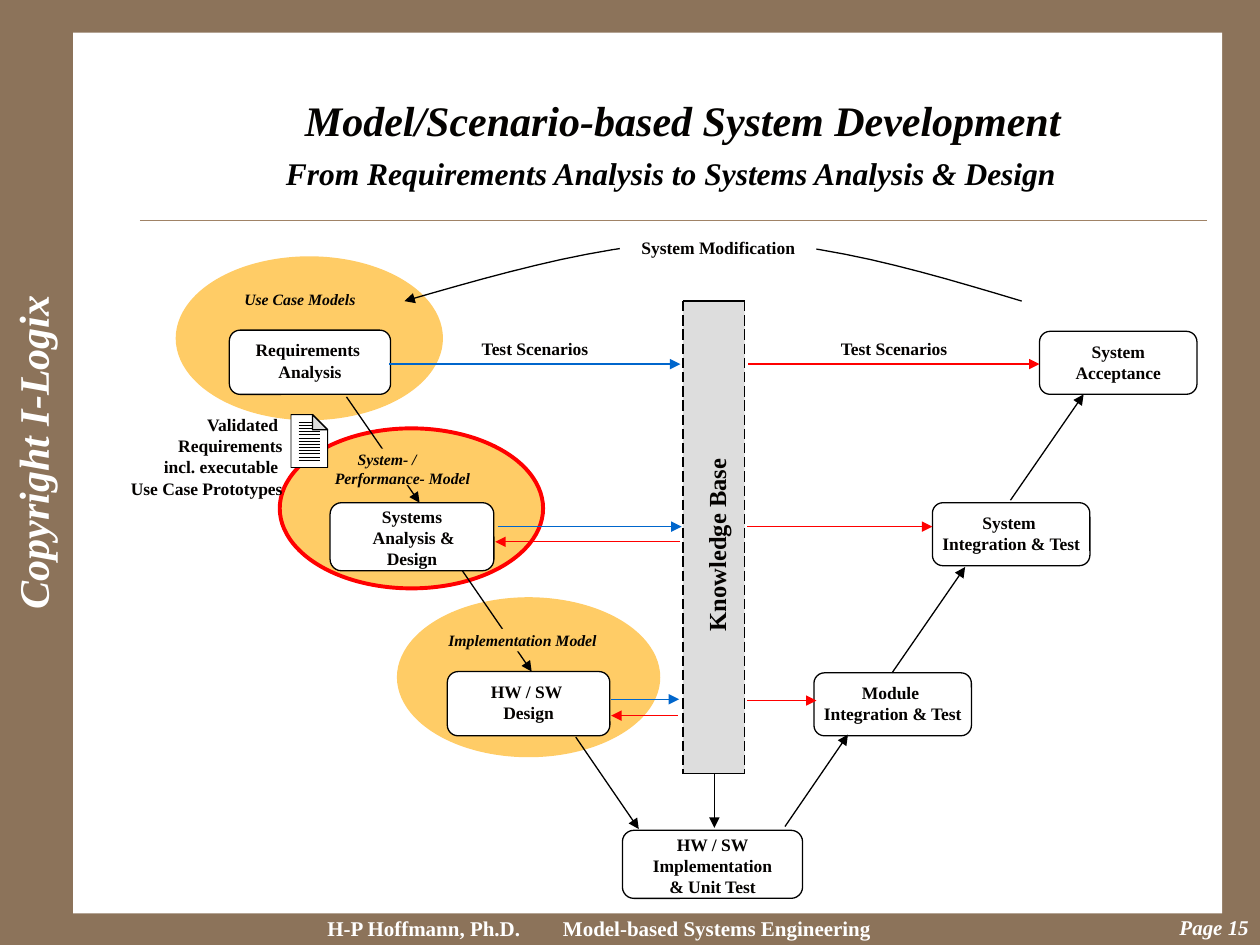
from lxml import etree
from pptx import Presentation
from pptx.dml.color import RGBColor
from pptx.enum.dml import MSO_LINE
from pptx.enum.shapes import MSO_CONNECTOR, MSO_SHAPE
from pptx.enum.text import MSO_ANCHOR, PP_ALIGN
from pptx.oxml.ns import qn
from pptx.util import Inches, Pt

RECT, ROUND, OVAL = MSO_SHAPE.RECTANGLE, MSO_SHAPE.ROUNDED_RECTANGLE, MSO_SHAPE.OVAL
LEFT, CENTER, RIGHT = PP_ALIGN.LEFT, PP_ALIGN.CENTER, PP_ALIGN.RIGHT
FONT = "Times New Roman"
C = {"frame": "8C735A", "rule": "A08366", "white": "FFFFFF", "black": "000000",
     "ink": "040200", "model": "FFCC66", "focus": "FF0000", "forward": "0066CC",
     "grey": "DDDDDD"}

TITLE = "Model/Scenario-based System Development"
SUBTITLE = "From Requirements Analysis to Systems Analysis & Design"
MODEL_SIZE = (2.09, 1.27)
MODELS = [(3.15, 4.74), (2.22, 3.41), (1.41, 2.05)]
RINGS = [((2.22, 3.4), "focus"), ((1.41, 2.05), "model")]
# text, (left, top, width, height), side inset, top inset
BOXES = [
    ("Requirements \nAnalysis", (1.82, 2.62, 1.28, 0.51), 0.1, 0.05),
    ("Systems\n Analysis & Design", (2.62, 3.99, 1.3, 0.54), 0.1, 0),
    ("HW / SW \nDesign", (3.55, 5.33, 1.29, 0.51), 0.1, 0.05),
    ("HW / SW\nImplementation\n& Unit Test", (4.94, 6.59, 1.43, 0.54), 0.1, 0),
    ("Module \nIntegration & Test", (6.46, 5.34, 1.25, 0.5), 0, 0.05),
    ("System \nIntegration & Test", (7.4, 3.99, 1.25, 0.5), 0, 0.05),
    ("System\nAcceptance", (8.25, 2.63, 1.25, 0.5), 0.1, 0.05),
]
# x1, y1, x2, y2 by colour
ARROWS = {
    "black": [(2.75, 3.15, 3.33, 3.99), (3.67, 4.53, 4.22, 5.33),
              (4.57, 5.85, 5.07, 6.58), (5.67, 6.14, 5.67, 6.57),
              (6.23, 6.56, 6.73, 5.83), (7.08, 5.34, 7.66, 4.5),
              (8.02, 3.97, 8.6, 3.13)],
    "forward": [(3.09, 2.89, 5.4, 2.89), (3.95, 4.18, 5.41, 4.18),
                (4.85, 5.55, 5.39, 5.55)],
    "focus": [(5.94, 2.89, 8.25, 2.89), (5.93, 4.18, 7.4, 4.18),
              (5.93, 5.56, 6.48, 5.56), (5.4, 4.3, 3.93, 4.3),
              (5.38, 5.68, 4.85, 5.68)],
}
LABEL_GAPS = [(3.92, 4.99, 0.27, 0.18), (2.97, 3.56, 0.38, 0.29)]
FEEDBACK = [((8.11, 2.39), (7.31, 2.15), (6.51, 1.91), (5.69, 1.91)),
            ((5.69, 1.91), (4.87, 1.91), (4.04, 2.15), (3.21, 2.39))]
# text, (left, top, width, height), size, italic, alignment
LABELS = [
    ("Use Case Models", (1.58, 2.25, 1.6, 0.47), 9, True, CENTER),
    ("System- /\nPerformance- Model", (2.56, 3.52, 1.54, 0.4), 9, True, LEFT),
    ("Implementation Model", (3.46, 4.96, 1.66, 0.33), 9, True, LEFT),
    ("Test Scenarios", (3.72, 2.63, 1.05, 0.27), 10, False, CENTER),
    ("Test Scenarios", (6.57, 2.63, 1.05, 0.27), 10, False, CENTER),
    ("Validated \nRequirements\nincl. executable \nUse Case Prototypes",
     (0.92, 3.24, 1.42, 0.83), 10, False, RIGHT),
]
FOOTERS = [
    ("H-P Hoffmann, Ph.D.", (2.5, 7.22, 1.8, 0.28), 12, False, LEFT),
    ("Model-based Systems Engineering", (4.37, 7.22, 2.8, 0.28), 12, False, LEFT),
    ("Page 15", (7.93, 7.21, 2.08, 0.28), 12, True, RIGHT),
]
BASE = (5.42, 2.39, 0.49, 3.75)
PAGE = [(2.31, 3.29), (2.31, 3.71), (2.6, 3.71), (2.6, 3.41), (2.48, 3.29)]
FOLD = [(2.48, 3.29), (2.48, 3.41), (2.6, 3.41)]
PAGE_LINES, PAGE_PITCH = 13, 0.025

prs = Presentation()
prs.slide_width, prs.slide_height = Inches(10), Inches(7.5)
s = prs.slides.add_slide(prs.slide_layouts[5])


def rgb(name):
    return RGBColor.from_string(C[name])


def place(sp, at):
    sp.left, sp.top, sp.width, sp.height = map(Inches, at)


def paint(sp, fill=None, line=None, width=0.75):
    sp.shadow.inherit = False
    if fill:
        sp.fill.solid()
        sp.fill.fore_color.rgb = rgb(fill)
    else:
        sp.fill.background()
    if line:
        sp.line.color.rgb = rgb(line)
        sp.line.width = Pt(width)
    else:
        sp.line.fill.background()
    return sp


def shape(kind, at, fill=None, line=None, width=0.75):
    return paint(s.shapes.add_shape(kind, *map(Inches, at)), fill, line, width)


def write(sp, text, size, italic=False, align=CENTER, color="ink",
          side=0.1, top=0.05, wrap=True):
    tf = sp.text_frame
    tf.text = text
    tf.word_wrap = wrap
    tf.vertical_anchor = MSO_ANCHOR.TOP
    tf.margin_left = tf.margin_right = Inches(side)
    tf.margin_top, tf.margin_bottom = Inches(top), 0
    for p in tf.paragraphs:
        p.alignment = align
        f = p.font
        f.name, f.size, f.bold, f.italic = FONT, Pt(size), True, italic
        f.color.rgb = rgb(color)
    return sp


def textbox(text, at, size, italic, align, **style):
    return write(s.shapes.add_textbox(*map(Inches, at)), text, size, italic, align, **style)


def add_head(sp):
    etree.SubElement(sp.line._get_or_add_ln(), qn("a:tailEnd"), type="triangle")


def line(ends, color="black", width=0.75, head=False, dash=None):
    cn = s.shapes.add_connector(MSO_CONNECTOR.STRAIGHT, *map(Inches, ends))
    cn.line.color.rgb = rgb(color)
    cn.line.width = Pt(width)
    if dash:
        cn.line.dash_style = dash
    if head:
        add_head(cn)
    etree.SubElement(cn._element.spPr, qn("a:effectLst"))


def outline(points, close=True):
    (x, y), *rest = [(Inches(px), Inches(py)) for px, py in points]
    fb = s.shapes.build_freeform(x, y)
    fb.add_line_segments(rest, close=close)
    return fb.convert_to_shape()


def bezier(a, b, c, d, steps=12):
    for t in (i / steps for i in range(steps + 1)):
        u = 1 - t
        yield tuple(u**3 * i + 3 * u * u * t * j + 3 * u * t * t * k + t**3 * m
                    for i, j, k, m in zip(a, b, c, d))


# Frame, heading and footer
s.background.fill.solid()
s.background.fill.fore_color.rgb = rgb("frame")
shape(RECT, (0.58, 0.26, 9.12, 6.99), "white")
line((1.11, 1.75, 9.58, 1.75), "rule", 0.25)
title = s.shapes.title
place(title, (2.32, 0.7, 6.2, 0.5))
write(title, TITLE, 24, True, wrap=False)
s.shapes._spTree.append(title._element)
textbox(SUBTITLE, (2.17, 1.17, 6.33, 0.4), 18, True, LEFT, color="black", wrap=False)
for footer in FOOTERS:
    textbox(*footer, color="white")
side_note = textbox("Copyright I-Logix", (-1.09, 3.34, 2.69, 0.5), 24, True, LEFT,
                    color="white", wrap=False)
side_note.rotation = 270

# Models, process steps and flows
for corner in MODELS:
    shape(OVAL, corner + MODEL_SIZE, "model")
for corner, color in RINGS:
    shape(OVAL, corner + MODEL_SIZE, None, color, 2.25)
for text, at, side, top in BOXES:
    box = shape(ROUND, at, "white", "black")
    box.adjustments[0] = 0.167
    write(box, text, 10, side=side, top=top)
for color, flows in ARROWS.items():
    for ends in flows:
        line(ends, color, head=True)
for at in LABEL_GAPS:
    shape(RECT, at, "model")
rise, fall = (list(bezier(*part)) for part in FEEDBACK)
feedback = outline(rise + fall[1:], close=False)
add_head(paint(feedback, None, "black"))
write(shape(RECT, (4.92, 1.83, 1.56, 0.27), "white"), "System Modification", 10)

# Knowledge base
x, y, w, h = BASE
shape(RECT, BASE, "grey")
for edge in (x, x + w):
    line((edge, y, edge, y + h), dash=MSO_LINE.LONG_DASH)
for edge in (y, y + h):
    line((x, edge, x + w, edge))
textbox("Knowledge Base ", (4.88, 4.13, 1.62, 0.34), 14, False, CENTER,
        wrap=False).rotation = 270

# Labels and document icon
for label in LABELS:
    sp = textbox(*label)
    if label[0].startswith("System-"):
        sp.text_frame.paragraphs[0]._p.get_or_add_pPr().set("marL", str(Inches(0.18)))
paint(outline(PAGE), "white", "black", 0.5)
for i in range(PAGE_LINES):
    row = 3.35 + i * PAGE_PITCH
    line((2.37, row, 2.54, row), width=0.25)
paint(outline(FOLD), "grey", "black")

prs.save("out.pptx")
